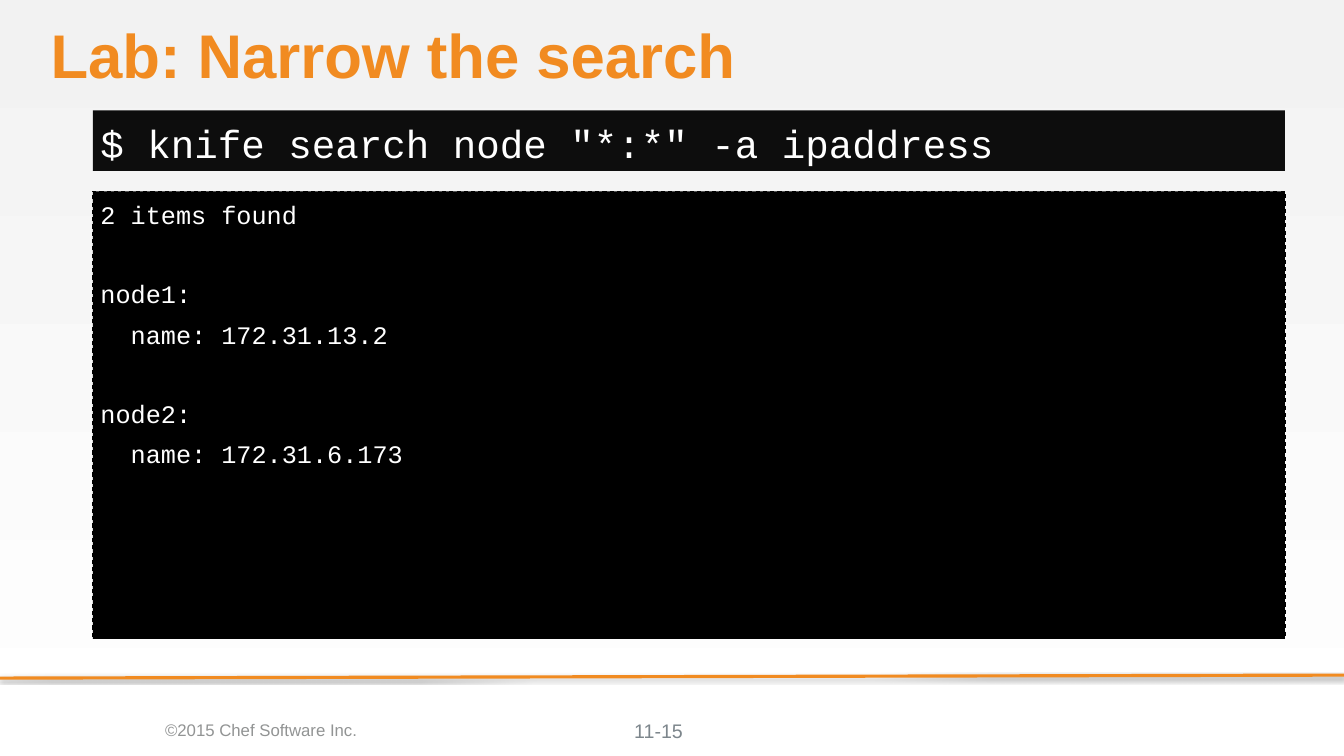
from dataclasses import dataclass

from lxml import etree
from pptx import Presentation, util as u
from pptx.dml.color import RGBColor
from pptx.enum import dml, shapes, text
from pptx.oxml import ns

WIDE, HIGH = 17.78, 10


@dataclass(frozen=True)
class Theme:
    sans: str = "Arial"
    mono: str = "Courier New"
    accent: str = "F18B21"
    white: str = "FFFFFF"
    black: str = "000000"
    bar: str = "0D0D0D"
    pale: str = "F2F2F2"
    gray: str = "929494"
    slate: str = "7D868C"
    title: float = 58.7
    command: float = 37.3
    output: float = 24
    page: float = 18.7
    small: float = 16


T = Theme()


def rgb(code):
    return RGBColor.from_string(code)


def inch(*nums):
    return [u.Inches(n) for n in nums]


def write(shape, words, size, color, font=T.sans, bold=False, align="LEFT",
          anchor="TOP", pads=(0.1, 0.05, 0.1, 0.05), lead=None, gap=0):
    """Fill a shape with lines; an empty line widens the gap before the next."""
    frame = shape.text_frame
    frame.word_wrap = True
    frame.vertical_anchor = text.MSO_ANCHOR[anchor]
    (frame.margin_left, frame.margin_top,
     frame.margin_right, frame.margin_bottom) = inch(*pads)
    para, space = frame.paragraphs[0], 0
    for row, line in enumerate(words.split("\n")):
        if not line:
            space += gap + size * 1.133
            continue
        if row:
            para = frame.add_paragraph()
        para.space_before = u.Pt(round(space, 1))
        para.alignment = text.PP_ALIGN[align]
        if lead:
            para.line_spacing = lead
        run = para.add_run()
        run.text = line
        run.font.name, run.font.size, run.font.bold = font, u.Pt(size), bold
        run.font.color.rgb = rgb(color)
        space = gap


def label(slide, box, words, size, color, **form):
    write(slide.shapes.add_textbox(*inch(*box)), words, size, color, **form)


def panel(slide, box, fill, edge=None):
    rect = slide.shapes.add_shape(shapes.MSO_SHAPE.RECTANGLE, *inch(*box))
    rect.shadow.inherit = False
    rect.fill.solid()
    rect.fill.fore_color.rgb = rgb(fill)
    if edge:
        rect.line.color.rgb = rgb(edge)
        rect.line.width = u.Pt(1)
        rect.line.dash_style = dml.MSO_LINE.DASH
    else:
        rect.line.fill.background()
    return rect


def backdrop(slide):
    fill = slide.background.fill
    fill.gradient()
    fill.gradient_angle = 270
    for stop, code, place in zip(fill.gradient_stops, (T.pale, T.white), (0, 1)):
        stop.color.rgb = rgb(code)
        stop.position = place


def console(slide, box, command, output):
    """Command bar above its output panel."""
    left, top, wide, high = box
    bar, skip = 0.8, 0.27
    write(panel(slide, (left, top, wide, bar), T.bar), command, T.command,
          T.white, font=T.mono, anchor="MIDDLE", pads=(0.1, 0.05, 0, 0))
    drop = bar + skip
    write(panel(slide, (left, top + drop, wide, high - drop), T.black, T.black),
          output, T.output, T.white, font=T.mono,
          pads=(0.1, 0.11, 0.1, 0.05), gap=9.6)


def rule(slide, left, right):
    """Slightly tilted line with a soft shadow, from left to right height."""
    line = slide.shapes.add_connector(shapes.MSO_CONNECTOR.STRAIGHT,
                                      *inch(WIDE, right, 0, left))
    line.line.color.rgb = rgb(T.accent)
    line.line.width = u.Pt(3)
    props = line._element.spPr
    effects = etree.SubElement(props, ns.qn("a:effectLst"))
    shade = etree.SubElement(effects, ns.qn("a:outerShdw"),
                             blurRad=str(u.Pt(3.1)), dist=str(u.Pt(1.8)),
                             dir="5400000", rotWithShape="0")
    tint = etree.SubElement(shade, ns.qn("a:srgbClr"), val=T.black)
    etree.SubElement(tint, ns.qn("a:alpha"), val="35000")


def footer(slide, box, notice, page):
    left, top, wide, high = box
    half = wide / 2
    label(slide, (left, top, half, high), notice, T.small, T.gray,
          align="CENTER", anchor="MIDDLE")
    label(slide, (WIDE * 0.43, top, WIDE * 0.12, high), page, T.page, T.slate,
          align="CENTER", anchor="MIDDLE")


def main():
    deck = Presentation()
    deck.slide_width, deck.slide_height = inch(WIDE, HIGH)
    slide = deck.slides.add_slide(deck.slide_layouts[6])
    backdrop(slide)
    rule(slide, HIGH * 0.897, HIGH * 0.893)
    label(slide, (0.67, 0.33, 16.33, 0.91), "Lab: Narrow the search", T.title,
          T.accent, bold=True, pads=(0, 0, 0, 0), lead=0.9)
    console(slide, (1.23, 1.46, 15.77, 6.99),
            '$ knife search node "*:*" -a ipaddress',
            "2 items found\n\nnode1:\n  name: 172.31.13.2"
            "\n\nnode2:\n  name: 172.31.6.173")
    footer(slide, (0.35, 9.38, 12.42, 0.56), "©2015 Chef Software Inc.", "11-15")
    deck.save("out.pptx")


if __name__ == "__main__":
    main()
